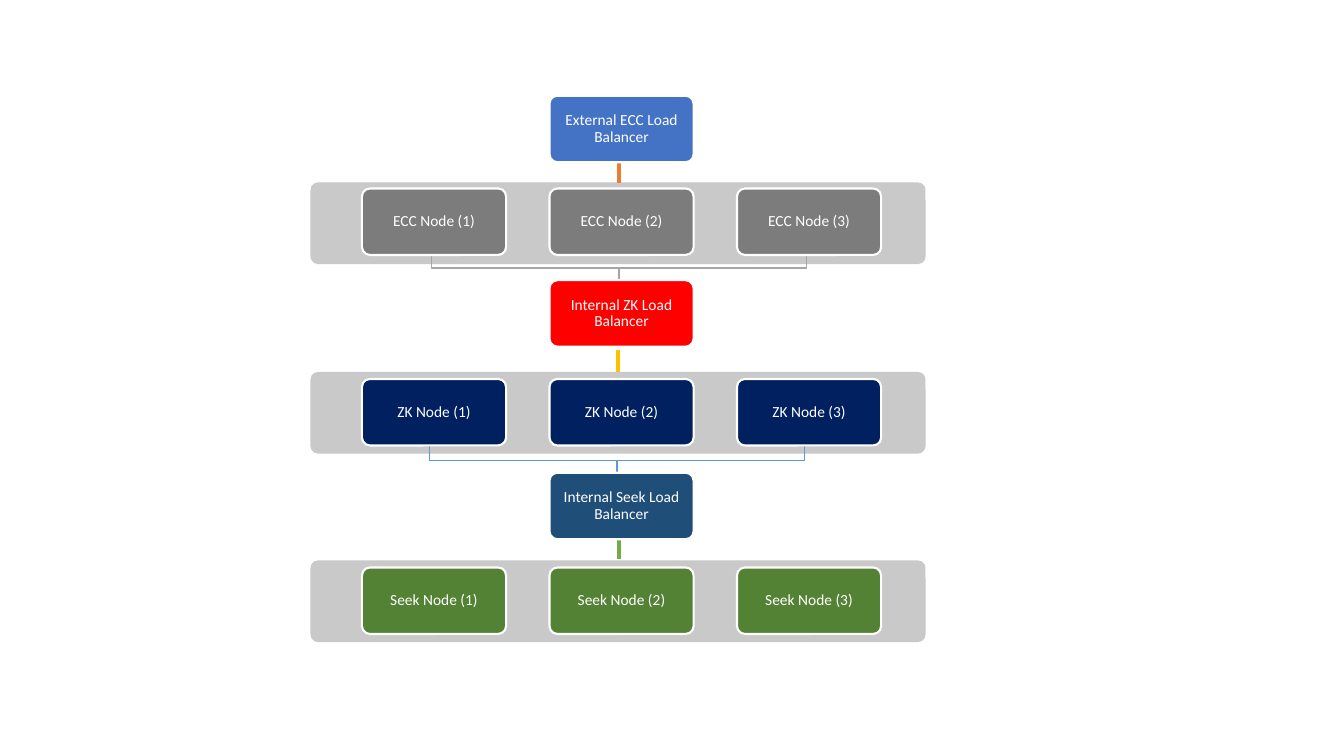
"""Build a slide showing three load-balanced node tiers."""
from dataclasses import dataclass

from lxml import etree
from pptx import Presentation
from pptx.dml.color import RGBColor
from pptx.enum.shapes import MSO_CONNECTOR as Connector, MSO_SHAPE as Shape
from pptx.enum.text import MSO_ANCHOR as Anchor, PP_ALIGN as Align
from pptx.oxml.ns import qn
from pptx.util import Pt

PX = 9144
SLIDE_WIDTH, SLIDE_HEIGHT = 1333, 750
BAND_LEFT, BAND_WIDTH, BAND_HEIGHT = 308, 610, 81
BOX_WIDTH, BOX_HEIGHT = 143, 66
NODE_LEFT, NODE_PITCH, NODE_COUNT = 359, 186, 3
BALANCER_LEFT = NODE_LEFT + NODE_PITCH
BRACKET_HEIGHT = 35


@dataclass(frozen=True)
class Theme:
    """Colours, font and point sizes."""
    band: str = "C9C9C9"
    light: str = "FFFFFF"
    font: str = "Calibri"
    text_size: float = 11
    outline: float = 1.5
    link: float = 2.25
    bracket: float = 1


@dataclass(frozen=True)
class Tier:
    """One balancer with its row of nodes."""
    name: str
    scope: str
    balancer_top: int
    band_top: int
    node_top: int
    balancer_color: str
    node_color: str
    link_color: str
    link_x: int
    link_top: int
    link_bottom: int


@dataclass(frozen=True)
class Bracket:
    """A fork joining a node row to the balancer below it."""
    center: int
    top: int
    color: str


THEME = Theme()
TIERS = (
    Tier("ECC", "External", 95, 181, 187, "4472C4", "7C7C7C", "ED7D31", 614, 161, 182),
    Tier("ZK", "Internal", 278, 369, 376, "FF0000", "002060", "FFC000", 613, 347, 369),
    Tier("Seek", "Internal", 469, 556, 563, "1F4E79", "548235", "70AD47", 614, 533, 555),
)
BRACKETS = (Bracket(614, 248, "A5A5A5"), Bracket(612, 439, "5B9BD5"))


def style_line(line, color, width):
    """Set a line's colour and width in points."""
    line.color.rgb = RGBColor.from_string(color)
    line.width = Pt(width)


def add_panel(slide, left, top, width, height, color, corner):
    """Add a filled rounded rectangle without an outline."""
    shape = slide.shapes.add_shape(
        Shape.ROUNDED_RECTANGLE, *(value * PX for value in (left, top, width, height)))
    shape.adjustments[0] = corner
    shape.shadow.inherit = False
    shape.fill.solid()
    shape.fill.fore_color.rgb = RGBColor.from_string(color)
    shape.line.fill.background()
    return shape


def add_box(slide, left, top, color, text):
    """Add an outlined box with a centred label."""
    shape = add_panel(slide, left, top, BOX_WIDTH, BOX_HEIGHT, color, 0.12)
    style_line(shape.line, THEME.light, THEME.outline)
    frame = shape.text_frame
    frame.word_wrap = True
    frame.vertical_anchor = Anchor.MIDDLE
    frame.margin_left = frame.margin_right = 7 * PX
    frame.margin_top = frame.margin_bottom = 7 * PX
    paragraph = frame.paragraphs[0]
    paragraph.alignment = Align.CENTER
    paragraph.line_spacing = 0.9
    run = paragraph.add_run()
    run.text = text
    run.font.name = THEME.font
    run.font.size = Pt(THEME.text_size)
    run.font.color.rgb = RGBColor.from_string(THEME.light)


def add_link(slide, tier):
    """Add the short vertical line from a balancer to its band."""
    connector = slide.shapes.add_connector(
        Connector.STRAIGHT, tier.link_x * PX, tier.link_top * PX,
        tier.link_x * PX, tier.link_bottom * PX)
    style_line(connector.line, tier.link_color, THEME.link)
    etree.SubElement(connector.element.spPr, qn("a:effectLst"))


def add_bracket(slide, bracket):
    """Add the two mirrored elbow lines of a bracket."""
    bottom = bracket.top + BRACKET_HEIGHT
    middle = bracket.top + BRACKET_HEIGHT // 2 + 1
    for end in (bracket.center - NODE_PITCH, bracket.center + NODE_PITCH):
        builder = slide.shapes.build_freeform(bracket.center, bottom, scale=PX)
        builder.add_line_segments(
            [(bracket.center, middle), (end, middle), (end, bracket.top)], close=False)
        shape = builder.convert_to_shape()
        shape.shadow.inherit = False
        shape.fill.background()
        style_line(shape.line, bracket.color, THEME.bracket)


def add_tier_boxes(slide, tier):
    """Add a tier's balancer and nodes."""
    add_box(slide, BALANCER_LEFT, tier.balancer_top, tier.balancer_color,
            f"{tier.scope} {tier.name} Load Balancer")
    for index in range(NODE_COUNT):
        add_box(slide, NODE_LEFT + index * NODE_PITCH, tier.node_top,
                tier.node_color, f"{tier.name} Node ({index + 1})")


def main():
    """Build and save the presentation."""
    presentation = Presentation()
    presentation.slide_width = SLIDE_WIDTH * PX
    presentation.slide_height = SLIDE_HEIGHT * PX
    slide = presentation.slides.add_slide(presentation.slide_layouts[6])
    for tier in TIERS:
        add_panel(slide, BAND_LEFT, tier.band_top, BAND_WIDTH, BAND_HEIGHT, THEME.band, 0.09)
        add_link(slide, tier)
    for bracket in BRACKETS:
        add_bracket(slide, bracket)
    for tier in TIERS:
        add_tier_boxes(slide, tier)
    presentation.save("out.pptx")


if __name__ == "__main__":
    main()
